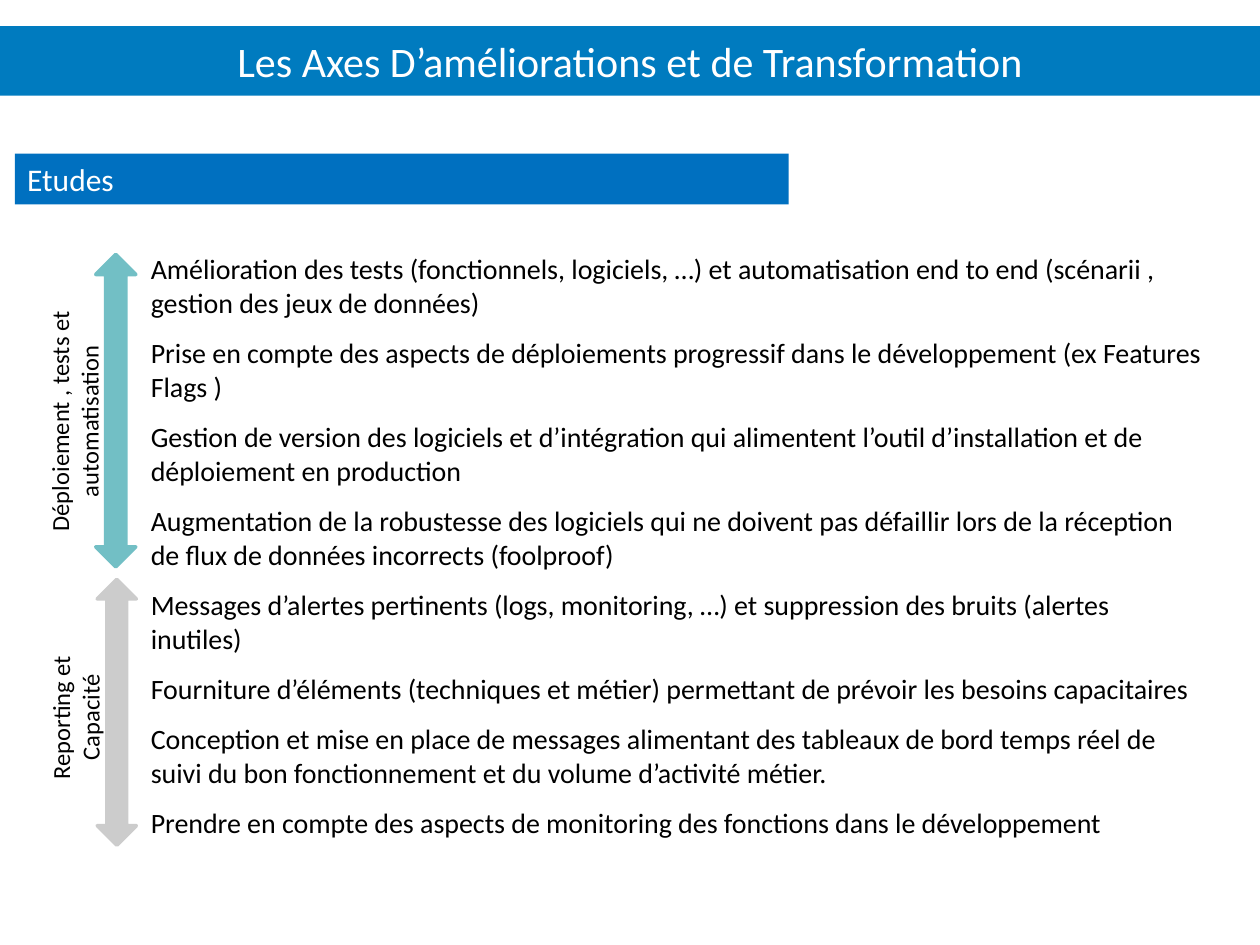
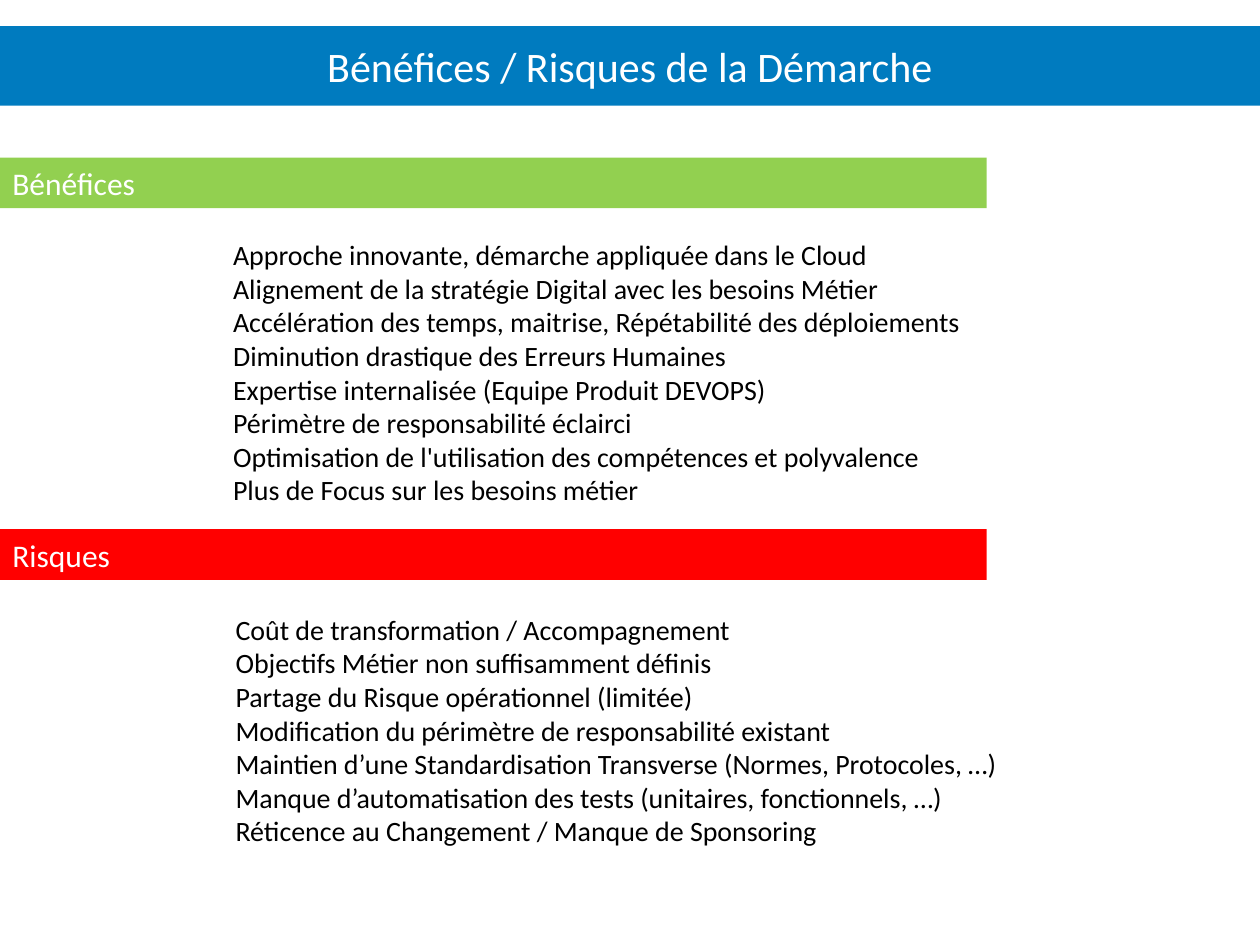
"""Build two slides on improvement axes, benefits and risks."""
from pptx import Presentation
from pptx.dml.color import RGBColor
from pptx.enum.shapes import MSO_SHAPE
from pptx.enum.text import MSO_ANCHOR, PP_ALIGN
from pptx.util import Cm, Pt

FONT = "Calibri"
BLACK = RGBColor(0x00, 0x00, 0x00)
WHITE = RGBColor(0xFF, 0xFF, 0xFF)
TITLE_BLUE = RGBColor(0x00, 0x7B, 0xBF)
STUDY_BLUE = RGBColor(0x00, 0x70, 0xC0)
GREEN = RGBColor(0x92, 0xD0, 0x50)
RED = RGBColor(0xFF, 0x00, 0x00)
TEAL = RGBColor(0x72, 0xBF, 0xC5)
GREY = RGBColor(0xCC, 0xCC, 0xCC)

AXES = [
    "Amélioration des tests (fonctionnels, logiciels, …) et automatisation end to end (scénarii , gestion des jeux de données)",
    "Prise en compte des aspects de déploiements progressif dans le développement (ex Features Flags )",
    "Gestion de version des logiciels et d’intégration qui alimentent l’outil d’installation et de déploiement en production",
    "Augmentation de la robustesse des logiciels qui ne doivent pas défaillir lors de la réception de flux de données incorrects (foolproof)",
    "Messages d’alertes pertinents (logs, monitoring, …) et suppression des bruits (alertes inutiles)",
    "Fourniture d’éléments (techniques et métier) permettant de prévoir les besoins capacitaires",
    "Conception et mise en place de messages alimentant des tableaux de bord temps réel de suivi du bon fonctionnement et du volume d’activité métier.",
    "Prendre en compte des aspects de monitoring des fonctions dans le développement",
]
BENEFITS = [
    "Approche innovante, démarche appliquée dans le Cloud",
    "Alignement de la stratégie Digital avec les besoins Métier",
    "Accélération des temps, maitrise, Répétabilité des déploiements",
    "Diminution drastique des Erreurs Humaines",
    "Expertise internalisée (Equipe Produit DEVOPS)",
    "Périmètre de responsabilité éclairci",
    "Optimisation de l'utilisation des compétences et polyvalence",
    "Plus de Focus sur les besoins métier",
]
RISKS = [
    "Coût de transformation / Accompagnement",
    "Objectifs Métier non suffisamment définis",
    "Partage du Risque opérationnel (limitée)",
    "Modification du périmètre de responsabilité existant",
    "Maintien d’une Standardisation Transverse (Normes, Protocoles, …)",
    "Manque d’automatisation des tests (unitaires, fonctionnels, …)",
    "Réticence au Changement / Manque de Sponsoring",
]
# Each phase: label, colour, arrow (left, top, width, height), label (left, top, width)
PHASES = [
    ("Reporting et Capacité", GREY, (1.96, 11.68, 0.79, 5.36), (-0.79, 13.74, 4.62)),
    ("Déploiement , tests et automatisation", TEAL, (1.93, 5.13, 0.81, 6.3), (-1.47, 7.77, 5.94)),
]
SECTIONS = [
    ("Bénéfices", GREEN, 3.18, BENEFITS, (4.45, 4.67, 20.06, 5.74)),
    ("Risques", RED, 10.67, RISKS, (4.5, 12.22, 18.41, 5.05)),
]
SLIDE_WIDTH, SLIDE_HEIGHT = 25.4, 19.05
BAND_HEIGHT = 1.02
LABEL_HEIGHT = 1.45


def write(box, lines, size=16, color=BLACK, align=PP_ALIGN.LEFT, anchor=MSO_ANCHOR.TOP, gap=0):
    """Fill a box with one paragraph per line."""
    frame = box.text_frame
    frame.word_wrap = True
    frame.vertical_anchor = anchor
    for index, line in enumerate(lines):
        para = frame.add_paragraph() if index else frame.paragraphs[0]
        para.alignment = align
        if index and gap:
            para.space_before = Pt(gap)
        span = para.add_run()
        span.text = line
        span.font.name = FONT
        span.font.size = Pt(size)
        span.font.color.rgb = color


def add_text(page, place, lines, **style):
    """Add a text box and return it."""
    box = page.shapes.add_textbox(*map(Cm, place))
    write(box, lines, **style)
    return box


def add_filled(page, kind, place, color):
    """Add a flat shape without outline."""
    shape = page.shapes.add_shape(kind, *map(Cm, place))
    shape.shadow.inherit = False
    shape.fill.solid()
    shape.fill.fore_color.rgb = color
    shape.line.fill.background()
    return shape


def add_band(page, text, place, color, size=18, align=PP_ALIGN.LEFT):
    """Add a coloured band with white text."""
    band = add_filled(page, MSO_SHAPE.RECTANGLE, place, color)
    write(band, [text], size=size, color=WHITE, align=align, anchor=MSO_ANCHOR.MIDDLE)


def add_page(deck, title, title_height):
    """Add a blank page with its title band."""
    page = deck.slides.add_slide(deck.slide_layouts[6])
    add_band(page, title, (0, 0.53, SLIDE_WIDTH, title_height), TITLE_BLUE, size=24, align=PP_ALIGN.CENTER)
    return page


def add_phase(page, label, color, arrow_place, label_place):
    """Add a double arrow and its vertical label."""
    arrow = add_filled(page, MSO_SHAPE.UP_DOWN_ARROW, arrow_place, color)
    arrow.line.color.rgb = color
    arrow.line.width = Pt(2)
    box = add_text(page, (*label_place, LABEL_HEIGHT), [label], size=14, align=PP_ALIGN.CENTER)
    box.rotation = 270


def main():
    """Build and save the deck."""
    deck = Presentation()
    deck.slide_width, deck.slide_height = Cm(SLIDE_WIDTH), Cm(SLIDE_HEIGHT)

    page = add_page(deck, "Les Axes D’améliorations et de Transformation", 1.4)
    add_text(page, (2.79, 4.95, 21.8, 12.22), AXES, gap=9.6)
    add_band(page, "Etudes", (0.3, 3.1, 15.6, BAND_HEIGHT), STUDY_BLUE)
    for phase in PHASES:
        add_phase(page, *phase)

    page = add_page(deck, "Bénéfices / Risques de la Démarche", 1.6)
    for heading, color, top, lines, place in SECTIONS:
        add_text(page, place, lines)
        add_band(page, heading, (0, top, 19.89, BAND_HEIGHT), color)

    deck.save("out.pptx")


if __name__ == "__main__":
    main()
